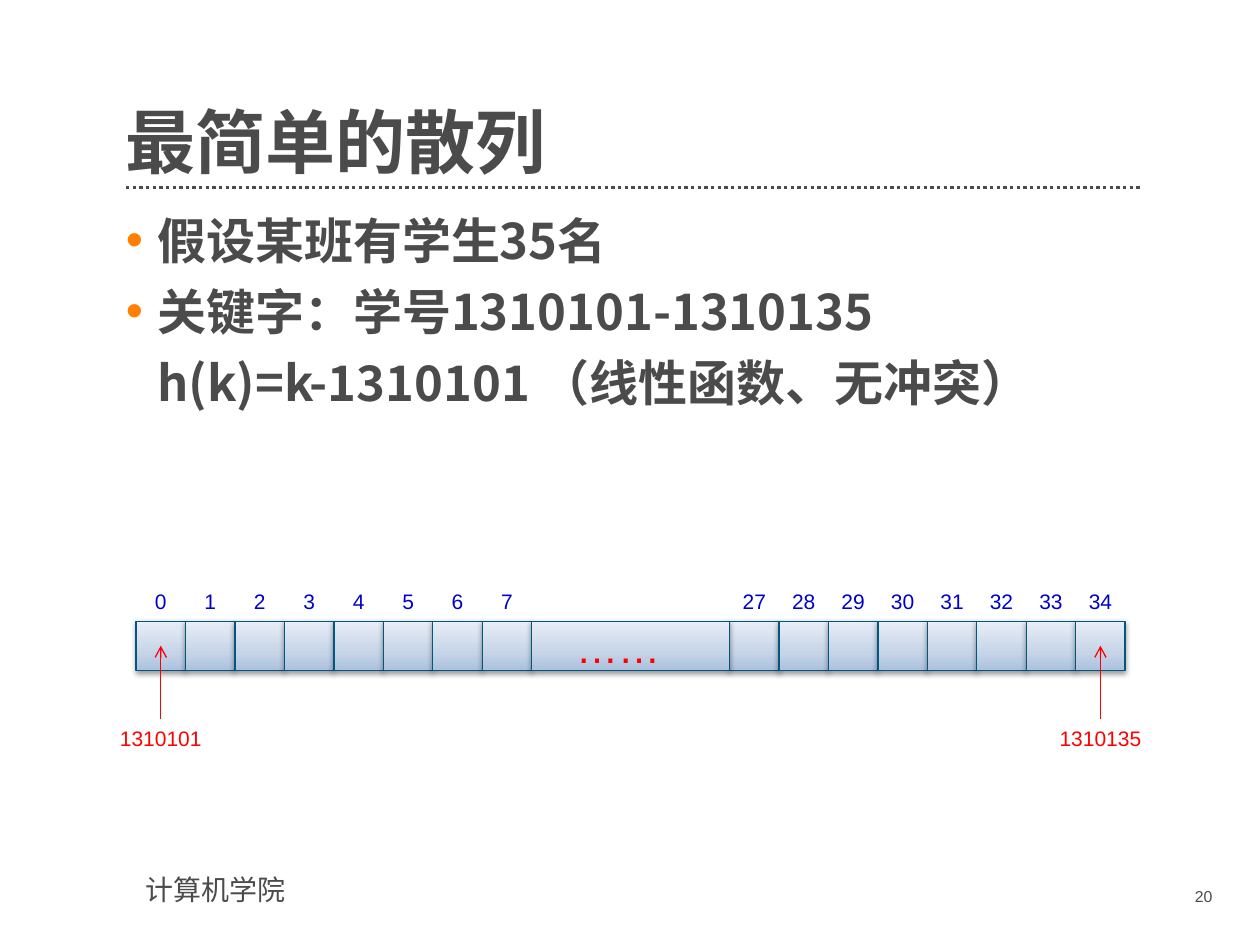
from lxml import etree
from pptx import Presentation
from pptx.dml.color import RGBColor
from pptx.enum.dml import MSO_LINE
from pptx.enum.shapes import MSO_CONNECTOR, MSO_SHAPE
from pptx.enum.text import MSO_ANCHOR, PP_ALIGN
from pptx.oxml import parse_xml
from pptx.oxml.ns import nsdecls, qn
from pptx.util import Inches, Pt

LEFT, CENTER, RIGHT = PP_ALIGN.LEFT, PP_ALIGN.CENTER, PP_ALIGN.RIGHT
TOP, BOTTOM = MSO_ANCHOR.TOP, MSO_ANCHOR.BOTTOM
STRAIGHT = MSO_CONNECTOR.STRAIGHT
RECTANGLE = MSO_SHAPE.RECTANGLE
ROUND_DOT = MSO_LINE.ROUND_DOT

GRAY = RGBColor(0x4B, 0x4B, 0x4B)
ORANGE = RGBColor(0xFF, 0x80, 0x00)
RED = RGBColor(0xFF, 0x00, 0x00)
BLUE = RGBColor(0x00, 0x00, 0xCC)
CELL_EDGE = RGBColor(0x00, 0x58, 0x81)
CELL_STOPS = (
    (0, RGBColor(0xAC, 0xC1, 0xDF)),
    (35, RGBColor(0xC5, 0xD4, 0xE7)),
    (100, RGBColor(0xE9, 0xEE, 0xF7)),
)
SHADOW = RGBColor(0x00, 0x00, 0x00)

HEADING_FONT = "Noto Sans CJK SC"
PLAIN_FONT = "Arial"
NO_MARGINS = (0, 0, 0, 0)
BODY_MARGINS = (0, 0, 0.2, 0)
NOTE_MARGINS = (0.1, 0.05, 0.1, 0.05)
LABEL_MARGINS = (0, 0.05, 0, 0.05)


def style_paragraph(para, size, color, font, bold=False, align=LEFT):
    """Set one font for both Latin and Chinese characters."""
    para.alignment = align
    para.font.size = Pt(size)
    para.font.bold = bold
    para.font.color.rgb = color
    para.font.name = font
    properties = para._p.pPr.find(qn("a:defRPr"))
    etree.SubElement(properties, qn("a:ea")).set("typeface", font)


def set_frame(frame, margins, anchor=TOP):
    frame.word_wrap = True
    frame.vertical_anchor = anchor
    (frame.margin_left, frame.margin_top,
     frame.margin_right, frame.margin_bottom) = map(Inches, margins)


def add_text(page, area, text, size, color, font=PLAIN_FONT, bold=False,
             align=LEFT, margins=NOTE_MARGINS, anchor=TOP):
    box = page.shapes.add_textbox(*map(Inches, area))
    set_frame(box.text_frame, margins, anchor)
    para = box.text_frame.paragraphs[0]
    para.text = text
    style_paragraph(para, size, color, font, bold, align)
    return box


def add_line(page, start, end, color, width):
    line = page.shapes.add_connector(STRAIGHT, *map(Inches, start + end))
    line.line.color.rgb = color
    line.line.width = Pt(width)
    etree.SubElement(line._element.spPr, qn("a:effectLst"))
    return line


def add_title(page, left, top, width, height):
    title = add_text(page, (left, top, width, height), "最简单的散列", 40, GRAY,
                     HEADING_FONT, True, margins=NO_MARGINS, anchor=BOTTOM)
    title.text_frame.paragraphs[0].line_spacing = 0.9
    rule_y = top + height + 0.03
    rule = add_line(page, (left, rule_y), (left + width, rule_y), GRAY, 1.9)
    rule.line.dash_style = ROUND_DOT


def add_bullet(para):
    properties = para._p.get_or_add_pPr()
    properties.set("indent", str(-Inches(0.25)))
    color = etree.SubElement(properties, qn("a:buClr"))
    etree.SubElement(color, qn("a:srgbClr")).set("val", str(ORANGE))
    etree.SubElement(properties, qn("a:buFont")).set("typeface", PLAIN_FONT)
    etree.SubElement(properties, qn("a:buChar")).set("char", "•")


def add_body(page, area):
    frame = page.shapes.add_textbox(*map(Inches, area)).text_frame
    set_frame(frame, BODY_MARGINS)
    lines = (
        ("假设某班有学生35名", True),
        ("关键字：学号1310101-1310135", True),
        ("h(k)=k-1310101 （线性函数、无冲突）", False),
    )
    for index, (text, bulleted) in enumerate(lines):
        para = frame.add_paragraph() if index else frame.paragraphs[0]
        para.text = text
        para._p.get_or_add_pPr().set("marL", str(Inches(0.25)))
        if index:
            para.space_before = Pt(7)
        if bulleted:
            add_bullet(para)
        style_paragraph(para, 28, GRAY, HEADING_FONT, True)


def add_cell(page, left, top, width, height):
    """Add a table slot with a vertical gradient and a soft shadow."""
    cell = page.shapes.add_shape(
        RECTANGLE, *map(Inches, (left, top, width, height)))
    cell.fill.gradient()
    cell.fill.gradient_angle = 90
    gradient = cell._element.spPr.find(qn("a:gradFill"))
    stops = "".join(
        f'<a:gs pos="{position * 1000}"><a:srgbClr val="{color}"/></a:gs>'
        for position, color in CELL_STOPS)
    gradient.replace(gradient.find(qn("a:gsLst")), parse_xml(
        f'<a:gsLst {nsdecls("a")}>{stops}</a:gsLst>'))
    gradient.find(qn("a:lin")).set("ang", str(270 * 60000))
    cell.line.color.rgb = CELL_EDGE
    cell.line.width = Pt(0.75)
    cell.shadow.inherit = False
    cell._element.spPr.find(qn("a:effectLst")).append(parse_xml(
        f'<a:outerShdw {nsdecls("a")} blurRad="{Pt(3.1)}" dist="{Pt(1.6)}" '
        f'dir="5400000" rotWithShape="0"><a:srgbClr val="{SHADOW}">'
        '<a:alpha val="38000"/></a:srgbClr></a:outerShdw>'))
    return cell


def add_key(page, center, cell_middle, label_top, text):
    """Add a key below the hash table with an arrow up to its slot."""
    label = add_text(page, (center - 0.59, label_top, 1.18, 0.3), text,
                     12, RED, align=CENTER)
    arrow = add_line(page, (center, label_top), (center, cell_middle), RED, 0.75)
    arrow.begin_connect(label, 0)
    etree.SubElement(arrow.line._get_or_add_ln(), qn("a:tailEnd")).set("type", "arrow")


def add_hash_table(page, left, top, width, height):
    """Draw slots 0-7 and 27-34 around a gap four slots wide."""
    pitch = width / 20
    slots = [(column, column) for column in range(8)]
    slots += [(column, column + 15) for column in range(12, 20)]
    for column, _ in slots:
        add_cell(page, left + column * pitch, top, pitch, height)

    gap = add_cell(page, left + 8 * pitch, top, 4 * pitch, height)
    set_frame(gap.text_frame, BODY_MARGINS)
    para = gap.text_frame.paragraphs[0]
    para.text = "……"
    style_paragraph(para, 24, RED, PLAIN_FONT, align=CENTER)

    for column, number in slots:
        add_text(page, (left + column * pitch, top - 0.31, pitch, 0.3),
                 str(number), 12, BLUE, align=CENTER, margins=LABEL_MARGINS)
    for column, key in ((0, "1310101"), (19, "1310135")):
        add_key(page, left + (column + 0.5) * pitch, top + height / 2,
                top + 0.78, key)


def add_footer(page):
    add_text(page, (1.06, 6.88, 2.56, 0.37), "计算机学院", 16, GRAY)
    add_text(page, (8.73, 6.99, 0.99, 0.29), "20", 9, GRAY, align=RIGHT)


def main():
    deck = Presentation()
    deck.slide_width, deck.slide_height = Inches(10), Inches(7.5)
    page = deck.slides.add_slide(deck.slide_layouts[6])
    add_title(page, 1, 0.55, 8.06, 0.91)
    add_body(page, (1, 1.67, 8.06, 5))
    add_hash_table(page, 1.08, 4.93, 7.85, 0.39)
    add_footer(page)
    deck.save("out.pptx")


if __name__ == "__main__":
    main()
